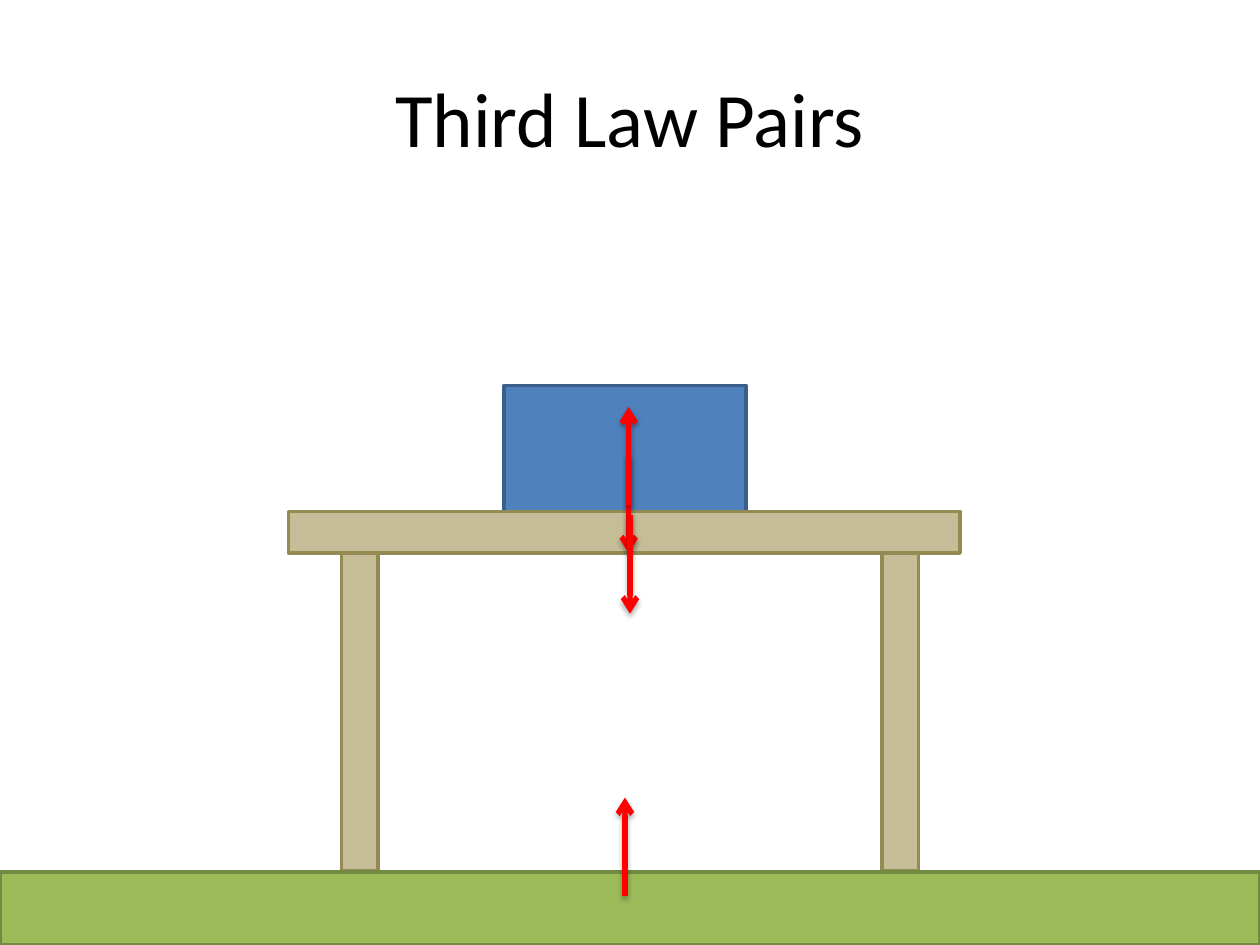
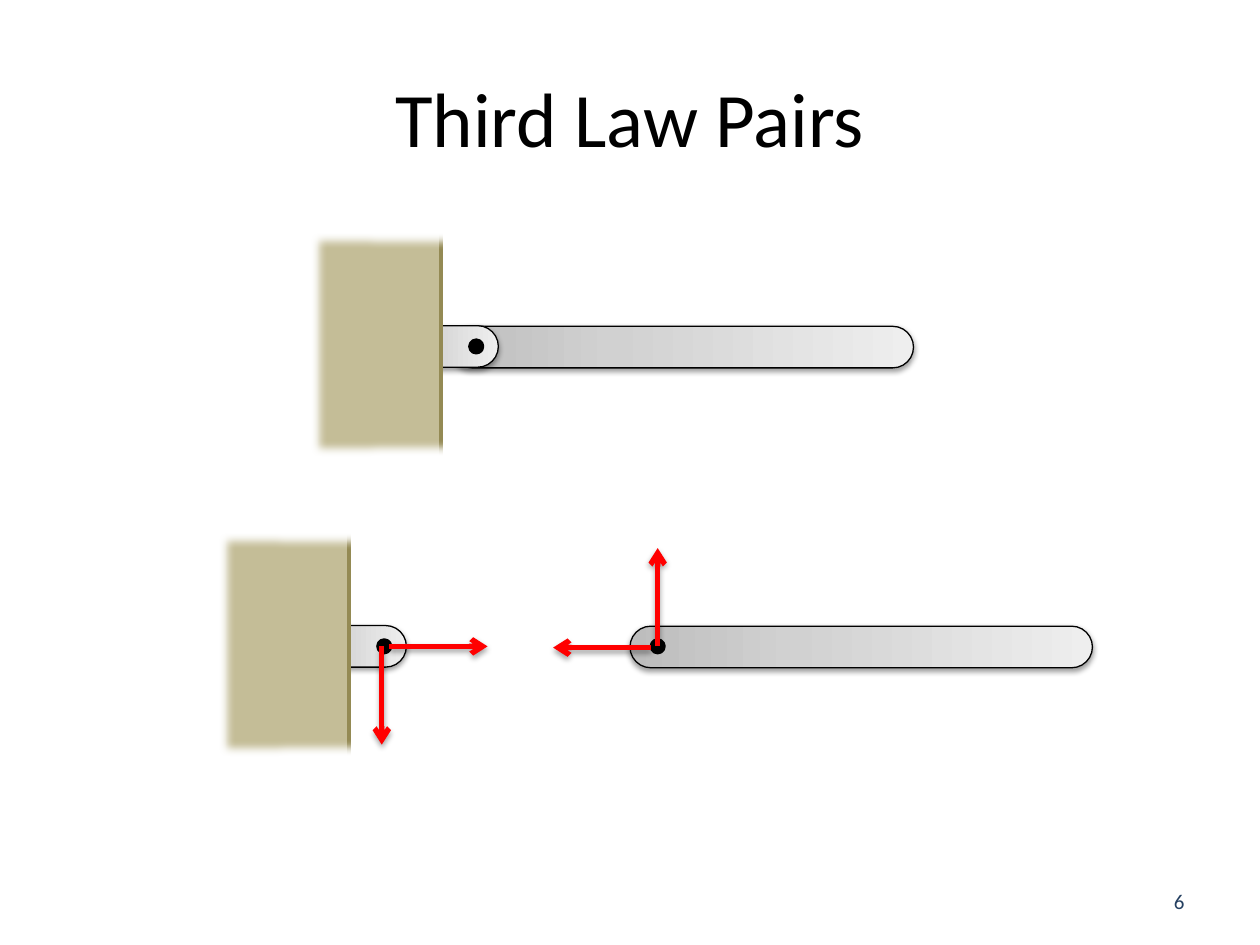
from dataclasses import dataclass
from typing import Any, Optional

from lxml import etree
from pptx import Presentation
from pptx import util as u
from pptx.dml.color import RGBColor
from pptx.enum import shapes, text
from pptx.oxml import ns, parse_xml

PX = 9144
FONT = "Calibri"
BLACK = RGBColor(0x00, 0x00, 0x00)
WHITE = RGBColor(0xFF, 0xFF, 0xFF)
BLUE = RGBColor(0x4F, 0x81, 0xBD)
BLUE_EDGE = RGBColor(0x3A, 0x5F, 0x8C)
TAN = RGBColor(0xC4, 0xBD, 0x97)
TAN_EDGE = RGBColor(0x94, 0x8A, 0x54)
GREEN = RGBColor(0x9B, 0xBB, 0x59)
GREEN_EDGE = RGBColor(0x73, 0x8A, 0x42)
RED = RGBColor(0xFF, 0x00, 0x00)
NAVY = RGBColor(0x25, 0x40, 0x61)
STEEL = ((0, RGBColor(0xBD, 0xBD, 0xBD)),
         (35, RGBColor(0xD1, 0xD1, 0xD1)),
         (100, RGBColor(0xEE, 0xEE, 0xEE)))

FORCE = 78
SOFT_EDGE = 63500
WALL_SHIFT = (-73, 238)
WALL_MASK = ((386, 199), (260, 198), (260, 349), (399, 348), (396, 423),
             (175, 418), (168, 137), (392, 142))


@dataclass(frozen=True)
class Block:
    left: int
    top: int
    width: int
    height: int
    fill: Optional[RGBColor] = None
    edge: RGBColor = BLACK
    edge_width: float = 2
    kind: Any = shapes.MSO_SHAPE.RECTANGLE

    def place(self) -> tuple:
        return tuple(n * PX for n in (self.left, self.top, self.width, self.height))


@dataclass(frozen=True)
class Force:
    x: int
    y: int
    right: int = 0
    down: int = 0


def rod(left: int, top: int, length: int) -> Block:
    return Block(left, top, 33, length, edge_width=0.75,
                 kind=shapes.MSO_SHAPE.ROUNDED_RECTANGLE)


def pin(left: int, top: int) -> Block:
    return Block(left, top, 10, 10, BLACK, kind=shapes.MSO_SHAPE.OVAL)


def apply_format(target: Any, values: dict) -> None:
    for name, value in values.items():
        setattr(target, name, value)


def add_effect(shape: Any, tag: str, **attributes: int) -> Any:
    properties = shape.element.spPr
    effects = properties.find(ns.qn("a:effectLst"))
    if effects is None:
        effects = etree.SubElement(properties, ns.qn("a:effectLst"))
    effect = etree.SubElement(effects, ns.qn(tag))
    for name, value in attributes.items():
        effect.set(name, str(value))
    return effect


def add_shadow(shape: Any, distance: int, opacity: int) -> None:
    shadow = add_effect(shape, "a:outerShdw", blurRad=40000, dist=distance,
                        dir=5400000, rotWithShape=0)
    color = etree.SubElement(shadow, ns.qn("a:srgbClr"), val=str(BLACK))
    etree.SubElement(color, ns.qn("a:alpha"), val=str(opacity * 1000))


def add_steel(shape: Any) -> None:
    stops = "".join(f'<a:gs pos="{position * 1000}"><a:srgbClr val="{color}"/></a:gs>'
                    for position, color in STEEL)
    gradient = parse_xml(f'<a:gradFill {ns.nsdecls("a")} rotWithShape="1">'
                         f'<a:gsLst>{stops}</a:gsLst>'
                         '<a:lin ang="16200000" scaled="1"/></a:gradFill>')
    shape.element.spPr.find(ns.qn("a:prstGeom")).addnext(gradient)


def draw_block(slide: Any, block: Block) -> Any:
    shape = slide.shapes.add_shape(block.kind, *block.place())
    shape.shadow.inherit = False
    shape.line.color.rgb = block.edge
    shape.line.width = u.Pt(block.edge_width)
    if block.fill is not None:
        shape.fill.solid()
        shape.fill.fore_color.rgb = block.fill
    return shape


def draw_rod(slide: Any, block: Block) -> None:
    shape = draw_block(slide, block)
    shape.rotation = 90
    shape.adjustments[0] = 0.5
    add_steel(shape)
    add_shadow(shape, 20000, 38)


def draw_force(slide: Any, force: Force) -> None:
    ends = (force.x, force.y, force.x + force.right, force.y + force.down)
    connector = slide.shapes.add_connector(
        shapes.MSO_CONNECTOR.STRAIGHT, *(n * PX for n in ends))
    connector.line.color.rgb = RED
    connector.line.width = u.Pt(3)
    line = connector.element.spPr.find(ns.qn("a:ln"))
    etree.SubElement(line, ns.qn("a:tailEnd"), type="arrow")
    add_shadow(connector, 23000, 35)


def draw_wall_bracket(slide: Any, right: int = 0, down: int = 0) -> None:
    draw_rod(slide, rod(333 + right, 229 + down, 92))
    draw_block(slide, pin(373 + right, 270 + down))
    draw_block(slide, Block(233 + right, 175 + down, 117, 200, TAN, TAN_EDGE))
    start, *corners = [(x + right, y + down) for x, y in WALL_MASK]
    builder = slide.shapes.build_freeform(*start, scale=PX)
    builder.add_line_segments(corners, close=True)
    mask = builder.convert_to_shape()
    mask.shadow.inherit = False
    mask.fill.solid()
    mask.fill.fore_color.rgb = WHITE
    mask.line.fill.background()
    add_effect(mask, "a:softEdge", rad=SOFT_EDGE)


def write(shape: Any, words: str, size: int, color: RGBColor, alignment: Any) -> None:
    frame = shape.text_frame
    frame.text = words
    apply_format(frame, {"word_wrap": True, "vertical_anchor": text.MSO_ANCHOR.MIDDLE})
    paragraph = frame.paragraphs[0]
    paragraph.alignment = alignment
    font = paragraph.runs[0].font
    apply_format(font, {"name": FONT, "size": u.Pt(size)})
    font.color.rgb = color


def add_titled_slide(presentation: Any) -> Any:
    slide = presentation.slides.add_slide(presentation.slide_layouts[5])
    title = slide.shapes.title
    apply_format(title, {"left": 50 * PX, "top": 30 * PX,
                         "width": 900 * PX, "height": 125 * PX})
    write(title, "Third Law Pairs", 44, BLACK, text.PP_ALIGN.CENTER)
    return slide


def build_table_slide(presentation: Any) -> None:
    slide = add_titled_slide(presentation)
    box = Block(400, 306, 192, 100, BLUE, BLUE_EDGE)
    table_top = Block(229, 406, 533, 33, TAN, TAN_EDGE)
    legs = [Block(left, 439, 29, 252, TAN, TAN_EDGE) for left in (271, 700)]
    ground = Block(0, 692, 1000, 58, GREEN, GREEN_EDGE)
    for block in (box, table_top, *legs, ground):
        draw_block(slide, block)
    for force in (Force(499, 361, down=FORCE), Force(496, 711, down=-FORCE),
                  Force(500, 409, down=FORCE), Force(499, 401, down=-FORCE)):
        draw_force(slide, force)


def build_hinge_slide(presentation: Any) -> None:
    slide = add_titled_slide(presentation)
    number = slide.shapes.add_textbox(717 * PX, 695 * PX, 233 * PX, 40 * PX)
    write(number, "6", 12, NAVY, text.PP_ALIGN.RIGHT)
    draw_rod(slide, rod(525, 92, 367))
    draw_wall_bracket(slide)
    draw_rod(slide, rod(667, 330, 367))
    draw_wall_bracket(slide, *WALL_SHIFT)
    draw_block(slide, pin(517, 508))
    for force in (Force(522, 513, down=-FORCE), Force(309, 513, right=FORCE),
                  Force(303, 513, down=FORCE), Force(517, 514, right=-FORCE)):
        draw_force(slide, force)


def main() -> None:
    presentation = Presentation()
    apply_format(presentation, {"slide_width": 1000 * PX, "slide_height": 750 * PX})
    build_table_slide(presentation)
    build_hinge_slide(presentation)
    presentation.save("out.pptx")


if __name__ == "__main__":
    main()
